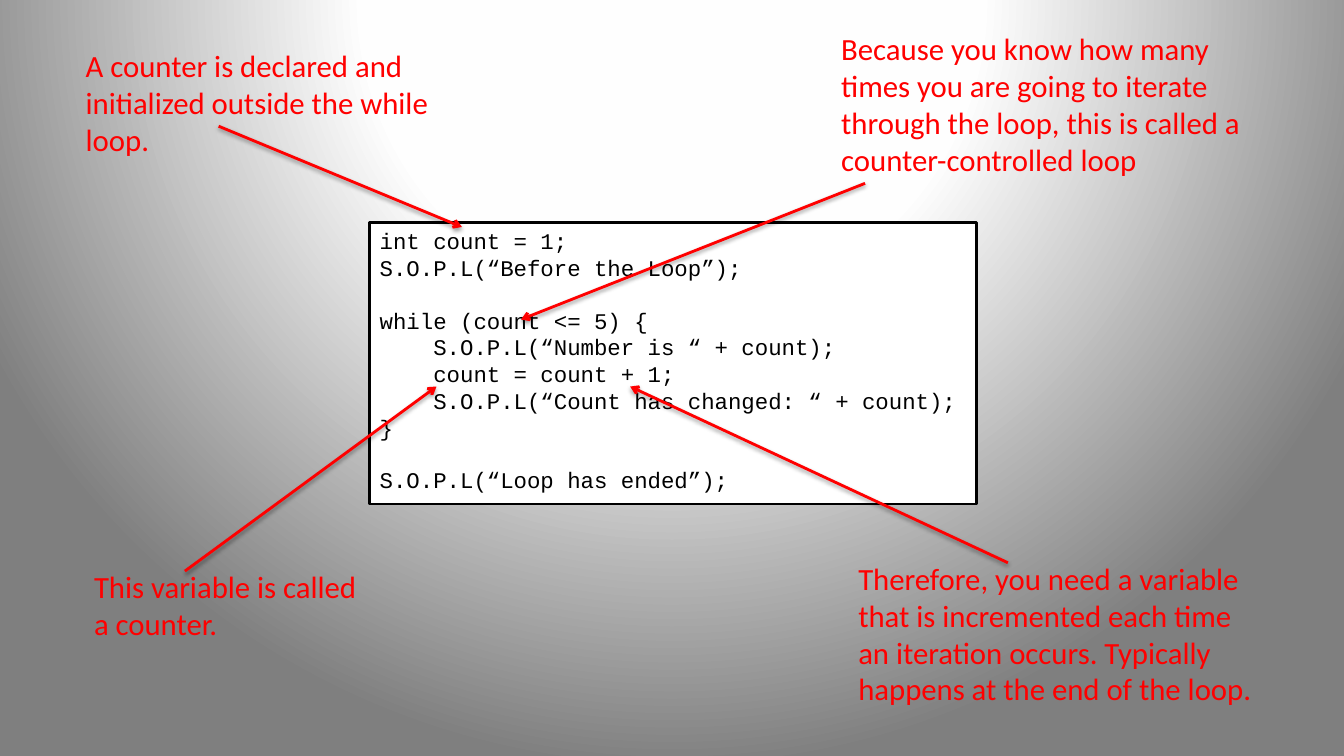
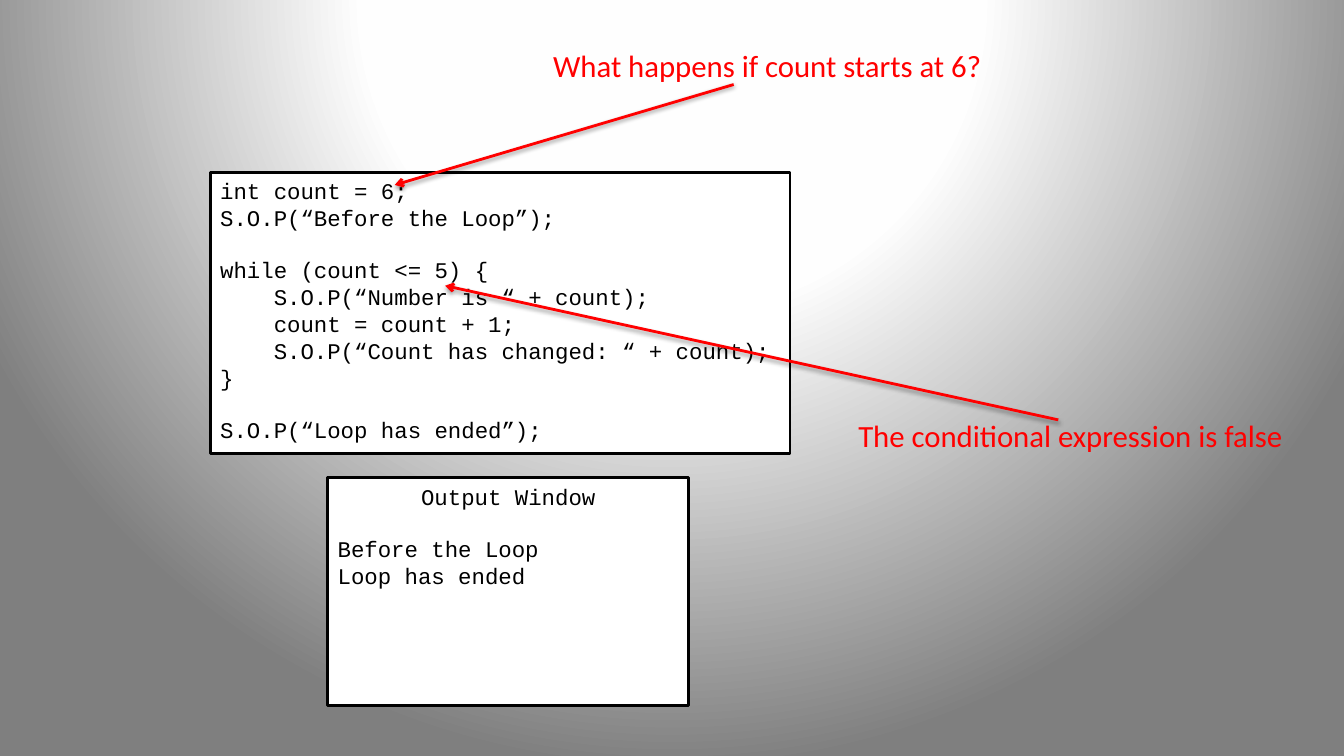
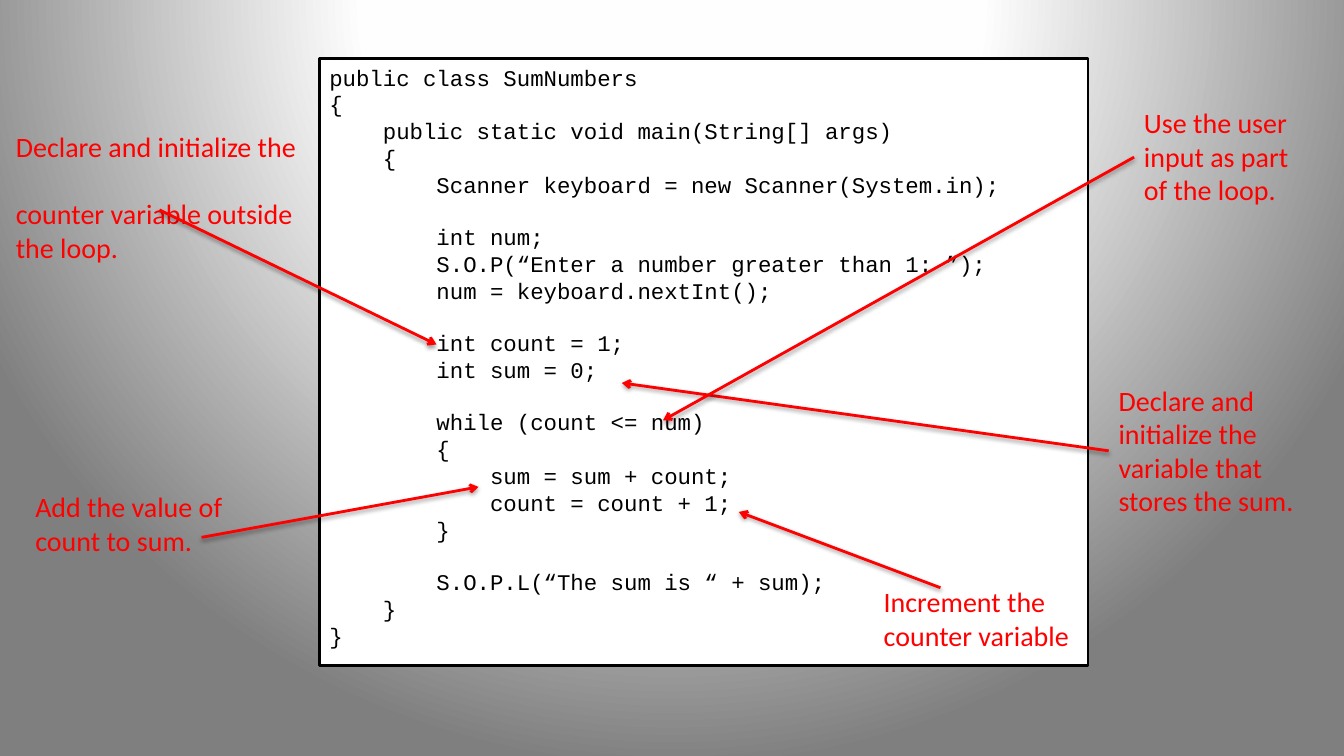
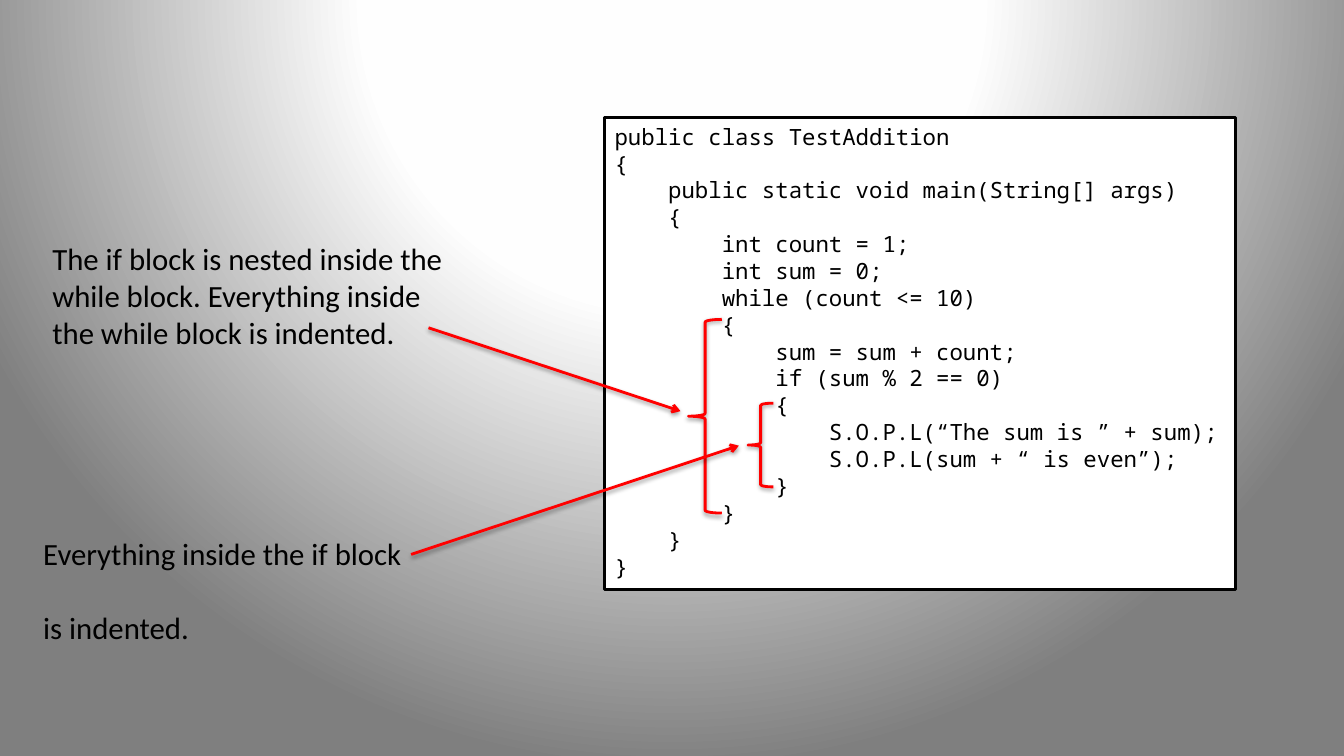
from pptx import Presentation
from pptx.dml.color import RGBColor
from pptx.enum.shapes import MSO_CONNECTOR as Connector, MSO_SHAPE as Shape
from pptx.enum.text import MSO_ANCHOR as Anchor, PP_ALIGN as Align
from pptx.oxml import parse_xml
from pptx.oxml.ns import nsdecls, qn
from pptx.util import Cm, Pt

COLORS = {
    "code": "000000",
    "paper": "FFFFFF",
    "accent": "FF0000",
    "shadow": "000000",
    "glow": "FFFFFF",
    "glow_edge": "FEFEFE",
    "vignette": "7F7F7F",
}
NOTE_FONT, CODE_FONT, NESTED_FONT = "Calibri", "Courier New", "Noto Sans Mono"
LINE_HEIGHT = {NOTE_FONT: 1.22, CODE_FONT: 1.13, NESTED_FONT: 1.36}
CODE_SIZE = 16
STROKE = 2

COUNTER_LOOP = """int count = 1;
S.O.P.L(“Before the Loop”);

while (count <= 5) {
    S.O.P.L(“Number is “ + count);
    count = count + 1;
    S.O.P.L(“Count has changed: “ + count);
}

S.O.P.L(“Loop has ended”);"""

SKIPPED_LOOP = COUNTER_LOOP.replace("S.O.P.L", "S.O.P").replace("count = 1;", "count = 6;", 1)

SUM_PROGRAM = """public class SumNumbers
{
    public static void main(String[] args)
    {
        Scanner keyboard = new Scanner(System.in);

        int num;
        S.O.P(“Enter a number greater than 1: ”);
        num = keyboard.nextInt();

        int count = 1;
        int sum = 0;

        while (count <= num)
        {
            sum = sum + count;
            count = count + 1;
        }

        S.O.P.L(“The sum is “ + sum);
    }
}"""

NESTED_PROGRAM = """public class TestAddition
{
    public static void main(String[] args)
    {
        int count = 1;
        int sum = 0;
        while (count <= 10)
        {
            sum = sum + count;
            if (sum % 2 == 0)
            {
                S.O.P.L(“The sum is ” + sum);
                S.O.P.L(sum + “ is even”);
            }
        }
    }
}"""


def rgb(role):
    """Return the colour for a role."""
    return RGBColor.from_string(COLORS[role])


def lengths(values):
    """Turn numbers in centimetres into lengths."""
    return [Cm(value) for value in values]


def set_background(master):
    """Give every slide the same spotlight gradient."""
    master.background.fill.solid()
    stops = "".join(
        f'<a:gs pos="{position * 1000}"><a:srgbClr val="{COLORS[role]}"/></a:gs>'
        for position, role in ((0, "glow"), (40, "glow_edge"), (100, "vignette"))
    )
    gradient = parse_xml(
        f'<a:gradFill {nsdecls("a")} rotWithShape="1"><a:gsLst>{stops}</a:gsLst>'
        '<a:path path="circle"><a:fillToRect l="50000" t="-80000" r="50000" b="180000"/>'
        "</a:path></a:gradFill>"
    )
    properties = master.element.find(".//" + qn("p:bgPr"))
    properties.replace(properties[0], gradient)


def style_stroke(mark):
    """Draw a mark in the accent colour with a soft shadow."""
    mark.line.color.rgb = rgb("accent")
    mark.line.width = Pt(STROKE)
    mark.element.spPr.append(parse_xml(
        f'<a:effectLst {nsdecls("a")}>'
        '<a:outerShdw blurRad="40000" dist="20000" dir="5400000" rotWithShape="0">'
        f'<a:srgbClr val="{COLORS["shadow"]}"><a:alpha val="38000"/></a:srgbClr>'
        "</a:outerShdw></a:effectLst>"
    ))


def write_lines(frame, text, font, size, role):
    """Write one paragraph per line, turning blank lines into space before."""
    frame.word_wrap = True
    frame.vertical_anchor = Anchor.TOP
    paragraph, gap = None, 0
    for line in text.split("\n"):
        if not line:
            gap += size * LINE_HEIGHT[font]
            continue
        paragraph = frame.add_paragraph() if paragraph else frame.paragraphs[0]
        paragraph.alignment = Align.LEFT
        if gap:
            paragraph.space_before = Pt(round(gap, 1))
            gap = 0
        run = paragraph.add_run()
        run.text = line
        run.font.name = font
        run.font.size = Pt(size)
        run.font.color.rgb = rgb(role)


def add_code(slide, box, text, font=CODE_FONT):
    """Add a framed panel of monospaced lines."""
    panel = slide.shapes.add_shape(Shape.RECTANGLE, *lengths(box))
    panel.shadow.inherit = False
    panel.fill.solid()
    panel.fill.fore_color.rgb = rgb("paper")
    panel.line.color.rgb = rgb("code")
    panel.line.width = Pt(STROKE)
    write_lines(panel.text_frame, text, font, CODE_SIZE, "code")
    return panel


def add_callout(slide, box, text, start, target, size=22, role="accent"):
    """Add a note and an arrow from a point within its box to a target."""
    note = slide.shapes.add_textbox(*lengths(box))
    write_lines(note.text_frame, text, NOTE_FONT, size, role)
    left, top = box[:2]
    ends = lengths((left + start[0], top + start[1], *target))
    arrow = slide.shapes.add_connector(Connector.STRAIGHT, *ends)
    style_stroke(arrow)
    arrow.line._get_or_add_ln().append(parse_xml(f'<a:tailEnd {nsdecls("a")} type="arrow"/>'))


def add_brace(slide, box):
    """Mark a block of code with a left brace."""
    brace = slide.shapes.add_shape(Shape.LEFT_BRACE, *lengths(box))
    brace.fill.background()
    style_stroke(brace)


def build_counter_slide(slide):
    """Explain the parts of a counter-controlled loop."""
    add_code(slide, (9.32, 5.61, 15.29, 7.09), COUNTER_LOOP)
    add_callout(
        slide, (20.95, 0.63, 10.69, 4.01),
        "Because you know how many\ntimes you are going to iterate\n"
        "through the loop, this is called a\ncounter-controlled loop",
        (0.85, 3.99), (13.13, 8.05))
    add_callout(
        slide, (21.38, 13.97, 10.54, 4.01),
        "Therefore, you need a variable\nthat is incremented each time\n"
        "an iteration occurs. Typically\nhappens at the end of the loop.",
        (4.02, 0.21), (15.88, 9.74))
    add_callout(
        slide, (2.12, 14.18, 7.21, 2.13),
        "This variable is called\na counter.",
        (2.54, 0.21), (11, 9.74))
    add_callout(
        slide, (1.91, 1.06, 9.27, 3.07),
        "A counter is declared and\ninitialized outside the while\nloop.",
        (3.6, 2.12), (11.64, 5.72))


def build_skipped_slide(slide):
    """Show a loop whose condition starts out false."""
    add_code(slide, (5.3, 4.34, 14.61, 7.09), SKIPPED_LOOP)
    add_callout(
        slide, (13.69, 1.06, 11.48, 1.19),
        "What happens if count starts at 6?", (4.8, 1.07), (9.95, 4.66))
    output = add_code(
        slide, (8.26, 12.04, 9.1, 5.74),
        "Output Window\n\nBefore the Loop\nLoop has ended")
    output.text_frame.paragraphs[0].alignment = Align.CENTER
    add_callout(
        slide, (21.38, 10.37, 11.38, 1.19),
        "The conditional expression is false", (5.29, 0.21), (11.22, 7.2))


def build_sum_slide(slide):
    """Annotate a program that sums numbers."""
    add_code(slide, (8.05, 1.48, 19.37, 15.29), SUM_PROGRAM)
    callouts = (
        ((0.15, 3.13, 7.65, 2.82),
         "Declare and initialize the\n\ncounter variable outside\nthe loop.",
         (3.87, 2.16), (11, 8.68)),
        ((27.94, 9.53, 4.98, 3.68),
         "Declare and\ninitialize the\nvariable that\nstores the sum.",
         (0, 1.83), (15.67, 9.65)),
        ((0.64, 12.22, 5.33, 1.96),
         "Add the value of\ncount to sum.",
         (4.44, 1.32), (12.06, 12.27)),
        ((22.02, 14.61, 5.26, 1.96),
         "Increment the\ncounter variable",
         (1.68, 0.2), (18.62, 12.9)),
        ((28.58, 2.54, 4.19, 2.82),
         "Use the user\ninput as part\nof the loop.",
         (0, 1.42), (16.71, 10.59)),
    )
    for box, text, start, target in callouts:
        add_callout(slide, box, text, start, target, size=20)


def build_nested_slide(slide):
    """Show how nested blocks are indented."""
    add_code(slide, (15.24, 2.97, 15.9, 11.89), NESTED_PROGRAM, NESTED_FONT)
    add_brace(slide, (17.35, 8.05, 0.84, 4.88))
    add_brace(slide, (18.85, 10.16, 0.64, 2.11))
    add_callout(
        slide, (1.07, 5.92, 10.54, 3.07),
        "The if block is nested inside the\nwhile block. Everything inside\n"
        "the while block is indented.",
        (9.73, 2.34), (17.15, 10.36), role="code")
    add_callout(
        slide, (0.84, 13.34, 9.68, 2.13),
        "Everything inside the if block\n\nis indented.",
        (9.52, 0.63), (18.62, 11.23), role="code")


def main():
    """Build and save the presentation."""
    deck = Presentation()
    deck.slide_width, deck.slide_height = lengths((33.87, 19.05))
    set_background(deck.slide_master)
    blank = deck.slide_layouts[6]
    for build in (build_counter_slide, build_skipped_slide, build_sum_slide, build_nested_slide):
        build(deck.slides.add_slide(blank))
    deck.save("out.pptx")


if __name__ == "__main__":
    main()
